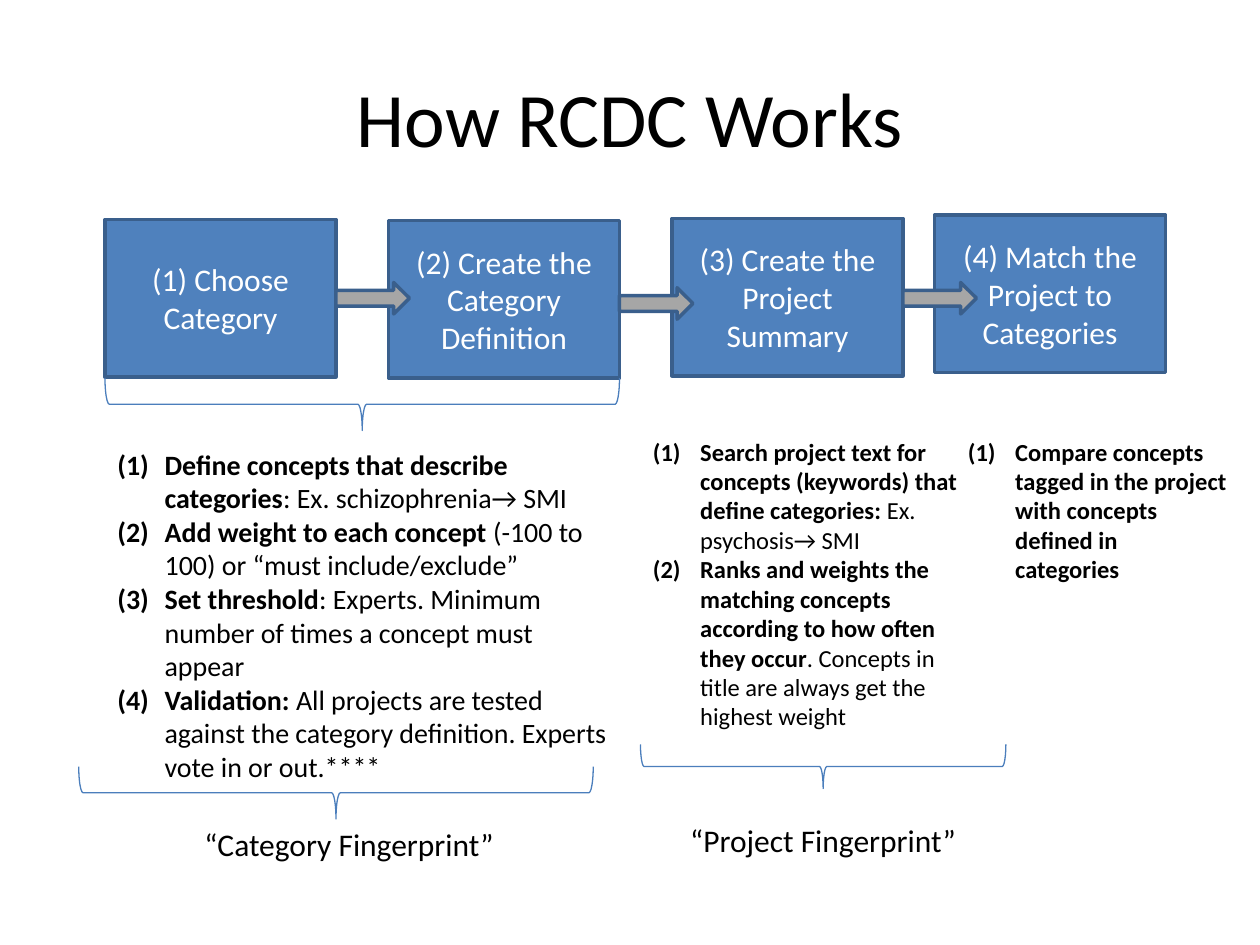
from lxml.etree import SubElement
from pptx import Presentation
from pptx.dml.color import RGBColor
from pptx.enum.shapes import MSO_SHAPE
from pptx.enum.text import MSO_ANCHOR, MSO_AUTO_SIZE, PP_ALIGN
from pptx.oxml.ns import qn
from pptx.util import Inches, Pt

COLS_PER_INCH = 12
BOX_W, BOX_H = 22, 15
ARROW_W, ARROW_H = 7, 3
INDENT = 4.5

STEPS = [
    (10, 20.9, "(1) Choose Category"),
    (37, 21, "(2) Create the Category Definition"),
    (64, 20.8, "(3) Create the Project Summary"),
    (89, 20.5, "(4) Match the Project to Categories"),
]
ARROW_TOPS = [26.9, 27.4, 26.9]
BRACES = [(10, 36, 49, 5), (7.5, 73, 49, 5), (61, 70.9, 34.8, 4.2)]
LISTS = [
    ((10, 42, 49, 33.5), 16, [
        ("Define concepts that describe categories", ": Ex. schizophrenia→ SMI"),
        ("Add weight to each concept ", "(-100 to 100) or “must include/exclude”"),
        ("Set threshold", ": Experts. Minimum number of times a concept must appear"),
        ("Validation: ", "All projects are tested against the category definition. "
                         "Experts vote in or out.****"),
    ]),
    ((61, 41, 33, 29.5), 14, [
        ("Search project text for concepts (keywords) that define categories: ",
         "Ex. psychosis→ SMI"),
        ("Ranks and weights the matching concepts according to how often they occur",
         ". Concepts in title are always get the highest weight"),
    ]),
    ((91, 41, 27, 15.4), 14, [
        ("Compare concepts tagged in the project with concepts defined in categories", ""),
    ]),
]
CAPTIONS = [
    ((10, 78, 46.5, 4.8), "“Category Fingerprint”"),
    ((61, 77.6, 34.8, 4.8), "“Project Fingerprint”"),
]


def grid(*cells):
    """Turn grid units into slide lengths."""
    return [Inches(c / COLS_PER_INCH) for c in cells]


def rgb(value):
    """Return a colour from a hex string."""
    return RGBColor.from_string(value)


def set_all(obj, values):
    """Set each attribute of obj from a dict."""
    for name, value in values.items():
        setattr(obj, name, value)


def add_run(p, text, size, color="000000", bold=False):
    """Append a formatted run to a paragraph."""
    r = p.add_run()
    r.text = text
    set_all(r.font, {"name": "Calibri", "size": Pt(size), "bold": bold})
    r.font.color.rgb = rgb(color)


def add_shape(s, kind, at, fill=None, line="3A5F8C", weight=2):
    """Add a preset shape without shadow."""
    sp = s.shapes.add_shape(kind, *grid(*at))
    sp.shadow.inherit = False
    if fill:
        sp.fill.solid()
        sp.fill.fore_color.rgb = rgb(fill)
    else:
        sp.fill.background()
    sp.line.color.rgb = rgb(line)
    sp.line.width = Pt(weight)
    return sp


def add_step(s, left, top, text):
    """Add one box of the process."""
    sp = add_shape(s, MSO_SHAPE.RECTANGLE, (left, top, BOX_W, BOX_H), "4F81BD")
    tf = sp.text_frame
    set_all(tf, {"word_wrap": True, "vertical_anchor": MSO_ANCHOR.MIDDLE})
    p = tf.paragraphs[0]
    p.alignment = PP_ALIGN.CENTER
    add_run(p, text, 18, "FFFFFF")


def add_brace(s, left, top, span, depth):
    """Add a brace that opens upward over the given span."""
    at = (left + (span - depth) / 2, top - (span - depth) / 2, depth, span)
    sp = add_shape(s, MSO_SHAPE.LEFT_BRACE, at, line="4B7EBC", weight=0.75)
    sp.rotation = 270


def add_text(s, at, **values):
    """Add a wrapping text box and return its frame."""
    tf = s.shapes.add_textbox(*grid(*at)).text_frame
    set_all(tf, {"word_wrap": True, **values})
    return tf


def add_centred(s, at, text, size, **values):
    """Add one centred line of text."""
    p = add_text(s, at, **values).paragraphs[0]
    p.alignment = PP_ALIGN.CENTER
    add_run(p, text, size)


def add_list(s, at, size, items):
    """Add a numbered list with bold lead-ins."""
    tf = add_text(s, at, auto_size=MSO_AUTO_SIZE.SHAPE_TO_FIT_TEXT)
    indent = grid(INDENT)[0]
    for i, (lead, rest) in enumerate(items):
        p = tf.add_paragraph() if i else tf.paragraphs[0]
        pPr = p._p.get_or_add_pPr()
        pPr.set("marL", str(indent))
        pPr.set("indent", str(-indent))
        SubElement(pPr, qn("a:buFont"), typeface="+mj-lt")
        SubElement(pPr, qn("a:buAutoNum"), type="arabicParenBoth")
        add_run(p, lead, size, bold=True)
        if rest:
            add_run(p, rest, size)


def main():
    """Build the slide and save it."""
    prs = Presentation()
    set_all(prs, {"slide_width": Inches(10), "slide_height": Inches(7.5)})
    s = prs.slides.add_slide(prs.slide_layouts[6])
    add_centred(s, (6, 3.6, 108, 15), "How RCDC Works", 44,
                vertical_anchor=MSO_ANCHOR.MIDDLE)
    for step in STEPS:
        add_step(s, *step)
    for (left, _, _), top in zip(STEPS, ARROW_TOPS):
        add_shape(s, MSO_SHAPE.RIGHT_ARROW,
                  (left + BOX_W, top, ARROW_W, ARROW_H), "A6A6A6")
    for entry in LISTS:
        add_list(s, *entry)
    for brace in BRACES:
        add_brace(s, *brace)
    for at, text in CAPTIONS:
        add_centred(s, at, text, 18, auto_size=MSO_AUTO_SIZE.SHAPE_TO_FIT_TEXT)
    prs.save("out.pptx")


if __name__ == "__main__":
    main()
